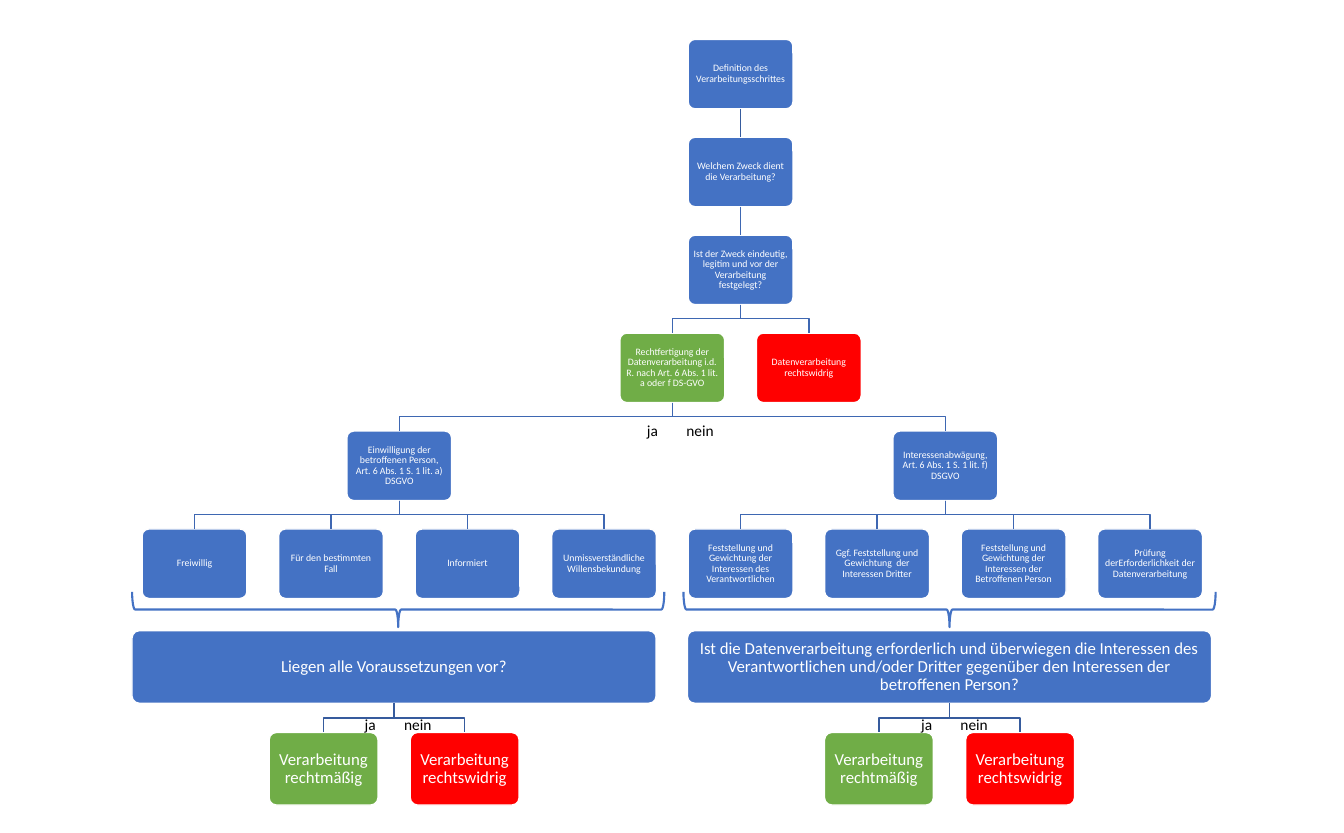
"""Builds a decision tree slide on the lawfulness of data processing."""
from dataclasses import dataclass
from typing import Optional

import lxml.etree
import pptx
import pptx.dml.color
import pptx.enum.shapes
import pptx.enum.text
import pptx.oxml.ns
import pptx.util
from pptx.shapes.autoshape import Shape
from pptx.slide import Slide

Inches = pptx.util.Inches
RGBColor = pptx.dml.color.RGBColor
MSO_SHAPE = pptx.enum.shapes.MSO_SHAPE
PP_ALIGN = pptx.enum.text.PP_ALIGN
MSO_ANCHOR = pptx.enum.text.MSO_ANCHOR

BLUE = RGBColor(0x44, 0x72, 0xC4)
GREEN = RGBColor(0x70, 0xAD, 0x47)
RED = RGBColor(0xFF, 0x00, 0x00)
WHITE = RGBColor(0xFF, 0xFF, 0xFF)
BLACK = RGBColor(0x00, 0x00, 0x00)
FIRST_LINK = RGBColor(0x36, 0x5B, 0x9D)
LOWER_LINK = RGBColor(0x3E, 0x67, 0xB2)
FONT = "Calibri"


@dataclass(frozen=True)
class Grid:
    center: float
    top: float
    col: float
    row: float
    width: float
    height: float
    size: float
    inset: float


@dataclass(frozen=True)
class Node:
    text: str
    col: float
    fill: RGBColor = BLUE
    children: tuple["Node", ...] = ()
    width: Optional[float] = None


@dataclass(frozen=True)
class Answer:
    left: float
    top: float


@dataclass(frozen=True)
class Brace:
    center: float
    middle: float = 6.05
    depth: float = 0.35
    span: float = 5.28


STEPS = Grid(center=1.93, top=0.39, col=(11.41 - 1.93) / 7, row=(5.25 - 0.39) / 5,
             width=1.04, height=0.69, size=7, inset=0.03)

CONSENT = Node("Einwilligung der betroffenen Person, Art. 6 Abs. 1 S. 1 lit. a) DSGVO", 1.5, children=(
    Node("Freiwillig", 0),
    Node("Für den bestimmten Fall", 1),
    Node("Informiert", 2),
    Node("Unmissverständliche Willensbekundung", 3),
))
INTERESTS = Node("Interessenabwägung, Art. 6 Abs. 1 S. 1 lit. f) DSGVO", 5.5, children=(
    Node("Feststellung und Gewichtung der Interessen des Verantwortlichen", 4),
    Node("Ggf. Feststellung und Gewichtung  der Interessen Dritter", 5),
    Node("Feststellung und Gewichtung der Interessen der Betroffenen Person", 6),
    Node("Prüfung derErforderlichkeit der Datenverarbeitung", 7),
))
PURPOSE = Node("Ist der Zweck eindeutig, legitim und vor der Verarbeitung festgelegt?", 4, children=(
    Node("Rechtfertigung der Datenverarbeitung i.d. R. nach Art. 6 Abs. 1 lit. a oder f DS-GVO",
         3.5, GREEN, (CONSENT, INTERESTS)),
    Node("Datenverarbeitung rechtswidrig", 4.5, RED),
))
PROCESS = Node("Definition des Verarbeitungsschrittes", 4, children=(
    Node("Welchem Zweck dient die Verarbeitung?", 4, children=(PURPOSE,)),
))

OUTCOMES = (
    Node("Verarbeitung rechtmäßig", -0.5, GREEN),
    Node("Verarbeitung rechtswidrig", 0.5, RED),
)
QUESTIONS = {
    3.91: "Liegen alle Voraussetzungen vor?",
    9.42: "Ist die Datenverarbeitung erforderlich und überwiegen die Interessen des "
          "Verantwortlichen und/oder Dritter gegenüber den Interessen der betroffenen Person?",
}
ANSWERS = (Answer(6.32, 4.13), Answer(3.52, 7.05), Answer(9.04, 7.05))
BRACES = (Brace(3.95), Brace(9.42))


def set_text(sp: Shape, text: str, *, size: float, color: RGBColor,
             align: PP_ALIGN = PP_ALIGN.LEFT, anchor: MSO_ANCHOR = MSO_ANCHOR.TOP,
             left: float = 0.1, right: float = 0, inset_y: float = 0.05,
             spacing: float = 1.0, tab: Optional[float] = None) -> None:
    """Write one formatted paragraph into a shape."""
    tf = sp.text_frame
    tf.word_wrap = True
    tf.vertical_anchor = anchor
    tf.margin_left, tf.margin_right = Inches(left), Inches(right)
    tf.margin_top = tf.margin_bottom = Inches(inset_y)
    p = tf.paragraphs[0]
    p.alignment = align
    p.line_spacing = spacing
    if tab is not None:
        tabs = lxml.etree.SubElement(p._p.get_or_add_pPr(), pptx.oxml.ns.qn("a:tabLst"))
        lxml.etree.SubElement(tabs, pptx.oxml.ns.qn("a:tab"), pos=str(Inches(tab)), algn="l")
    r = p.add_run()
    r.text = text
    r.font.name = FONT
    r.font.size = pptx.util.Pt(size)
    r.font.color.rgb = color


def add_link(s: Slide, parent: Shape, child: Shape, color: RGBColor) -> None:
    """Link a box to the box below it, straight or with a step."""
    x1, y1 = parent.left + parent.width // 2, parent.top + parent.height
    x2, y2 = child.left + child.width // 2, child.top
    if x1 == x2:
        sp = s.shapes.add_connector(pptx.enum.shapes.MSO_CONNECTOR.STRAIGHT, x1, y1, x2, y2)
        sp.begin_connect(parent, 2)
        sp.end_connect(child, 0)
        lxml.etree.SubElement(sp._element.spPr, pptx.oxml.ns.qn("a:effectLst"))
    else:
        middle = (y1 + y2) // 2
        builder = s.shapes.build_freeform(x1, y1)
        builder.add_line_segments([(x1, middle), (x2, middle), (x2, y2)], close=False)
        sp = builder.convert_to_shape()
        sp.shadow.inherit = False
        sp.fill.background()
    sp.line.color.rgb = color
    sp.line.width = pptx.util.Pt(1)


def add_tree(s: Slide, grid: Grid, node: Node, depth: int = 0,
             parent: Optional[Shape] = None) -> None:
    """Draw a box, its link to the parent and all boxes below it."""
    width = node.width or grid.width
    left = grid.center + node.col * grid.col - width / 2
    top = grid.top + depth * grid.row
    sp = s.shapes.add_shape(MSO_SHAPE.ROUNDED_RECTANGLE, Inches(left), Inches(top),
                            Inches(width), Inches(grid.height))
    sp.adjustments[0] = 0.1
    sp.shadow.inherit = False
    sp.fill.solid()
    sp.fill.fore_color.rgb = node.fill
    sp.line.color.rgb = WHITE
    sp.line.width = pptx.util.Pt(1)
    set_text(sp, node.text, size=grid.size, color=WHITE, align=PP_ALIGN.CENTER,
             anchor=MSO_ANCHOR.MIDDLE, left=grid.inset, right=grid.inset,
             inset_y=grid.inset, spacing=0.9)
    if parent is not None:
        add_link(s, parent, sp, FIRST_LINK if depth == 1 else LOWER_LINK)
    for child in node.children:
        add_tree(s, grid, child, depth + 1, sp)


def add_answer(s: Slide, answer: Answer) -> None:
    """Write the yes and no labels on both sides of a link."""
    sp = s.shapes.add_textbox(Inches(answer.left), Inches(answer.top), Inches(0.87), Inches(0.29))
    set_text(sp, "ja\tnein", size=11, color=BLACK, tab=0.39)


def add_brace(s: Slide, brace: Brace) -> None:
    """Draw a brace that points down."""
    sp = s.shapes.add_shape(MSO_SHAPE.RIGHT_BRACE, Inches(brace.center - brace.depth / 2),
                            Inches(brace.middle - brace.span / 2),
                            Inches(brace.depth), Inches(brace.span))
    sp.rotation = 90
    sp.shadow.inherit = False
    sp.fill.background()
    sp.line.color.rgb = BLUE
    sp.line.width = pptx.util.Pt(1.5)


def main() -> None:
    """Build the slide and save it."""
    prs = pptx.Presentation()
    prs.slide_width = Inches(40 / 3)
    prs.slide_height = pptx.util.Cm(21)
    s = prs.slides.add_slide(prs.slide_layouts[6])
    add_tree(s, STEPS, PROCESS)
    for center, question in QUESTIONS.items():
        grid = Grid(center=center, top=6.26, col=1.4, row=1.01,
                    width=1.08, height=0.72, size=12, inset=0.05)
        add_tree(s, grid, Node(question, 0, children=OUTCOMES, width=5.2))
    for answer in ANSWERS:
        add_answer(s, answer)
    for brace in BRACES:
        add_brace(s, brace)
    prs.save("out.pptx")


if __name__ == "__main__":
    main()
